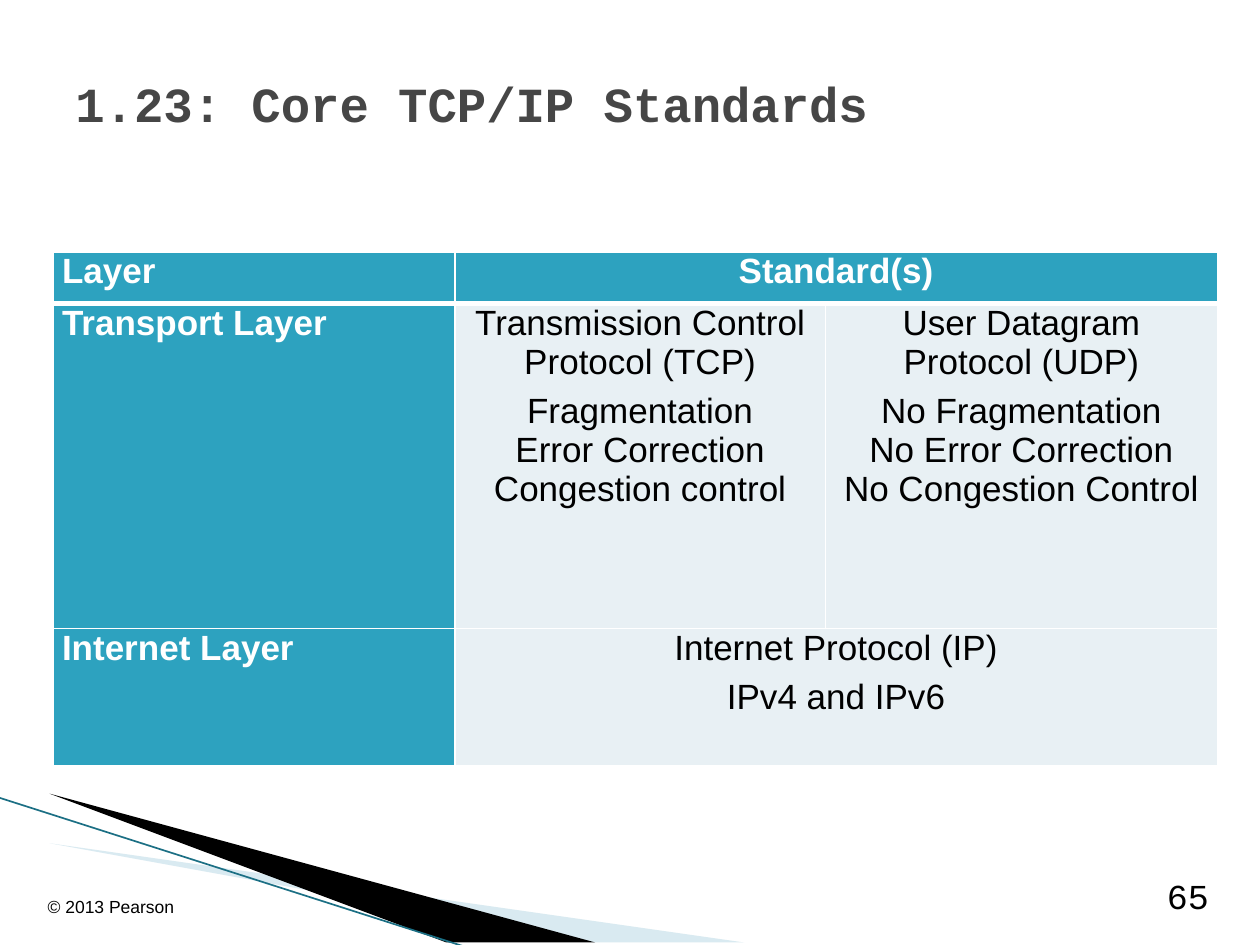
import pptx
import pptx.dml.color
import pptx.enum.dml
import pptx.enum.shapes
import pptx.enum.text
import pptx.oxml
import pptx.oxml.ns
import pptx.util
from pptx.util import Cm

RGBColor = pptx.dml.color.RGBColor
PP_ALIGN = pptx.enum.text.PP_ALIGN
MSO_ANCHOR = pptx.enum.text.MSO_ANCHOR
qn = pptx.oxml.ns.qn

WHITE = RGBColor(0xFF, 0xFF, 0xFF)
BLACK = RGBColor(0, 0, 0)
TITLE_GRAY = RGBColor(0x46, 0x46, 0x46)
TEAL = RGBColor(0x2D, 0xA2, 0xBF)
DARK_TEAL = RGBColor(0x1B, 0x6F, 0x84)
PALE_BLUE = RGBColor(0xA0, 0xCB, 0xDC)
CELL_TINT = RGBColor(0xE8, 0xF0, 0xF4)

prs = pptx.Presentation()
prs.slide_width = Cm(25.4)
prs.slide_height = Cm(19.05)
slide = prs.slides.add_slide(prs.slide_layouts[6])


def add_label(text, left, top, width, height, size, font, color, align, anchor, bold=False):
    label = slide.shapes.add_textbox(Cm(left), Cm(top), Cm(width), Cm(height))
    frame = label.text_frame
    frame.word_wrap = True
    frame.vertical_anchor = anchor
    frame.text = text
    paragraph = frame.paragraphs[0]
    paragraph.alignment = align
    run_font = paragraph.runs[0].font
    run_font.size = pptx.util.Pt(size)
    run_font.name = font
    run_font.bold = bold
    run_font.color.rgb = color


def add_borders(cell, widths):
    """Draw white borders; widths are points in the order left, right, top, bottom."""
    properties = cell._tc.get_or_add_tcPr()
    for index, (side, width) in enumerate(zip("LRTB", widths)):
        border = pptx.oxml.parse_xml(
            f'<a:ln{side} xmlns:a="http://schemas.openxmlformats.org/drawingml/2006/main"'
            f' w="{pptx.util.Pt(width)}"><a:solidFill><a:srgbClr val="{WHITE}"/>'
            f'</a:solidFill></a:ln{side}>')
        properties.insert(index, border)


# Corner decoration
wedges = [
    (PALE_BLUE, [(1.4, 16.52), (15.11, 19.07), (11.58, 19.07)]),
    (BLACK, [(1.35, 16.48), (11.61, 19.07), (9.45, 19.1)]),
]
for color, points in wedges:
    builder = slide.shapes.build_freeform(*points[0], scale=Cm(1))
    builder.add_line_segments(points[1:], close=True)
    wedge = builder.convert_to_shape()
    wedge.shadow.inherit = False
    wedge.fill.solid()
    wedge.fill.fore_color.rgb = color
    wedge.line.fill.background()
    if color == PALE_BLUE:
        tint = wedge.fill._xPr.find(qn("a:solidFill")).find(qn("a:srgbClr"))
        tint.append(tint.makeelement(qn("a:alpha"), {"val": "40000"}))

edge = slide.shapes.add_connector(
    pptx.enum.shapes.MSO_CONNECTOR.STRAIGHT, Cm(-0.02), Cm(16.08), Cm(9.42), Cm(19.1))
edge.line.color.rgb = DARK_TEAL
edge.line.width = pptx.util.Pt(0.95)
edge_properties = edge._element.spPr
edge_properties.append(edge_properties.makeelement(qn("a:effectLst"), {}))

# Standards table: \n starts a paragraph, \v breaks a line
column_widths = [8.1, 7.47, 7.9]
row_heights = [1.04, 6.55, 2.77]
standards_rows = [
    ["Layer", "Standard(s)", ""],
    ["Transport Layer",
     "Transmission Control Protocol (TCP)\n"
     "Fragmentation\vError Correction\vCongestion control",
     "User Datagram Protocol (UDP)\n"
     "No Fragmentation\vNo Error Correction\vNo Congestion Control"],
    ["Internet Layer", "Internet Protocol (IP)\nIPv4 and IPv6", ""],
]
standards = slide.shapes.add_table(
    3, 3, Cm(1.07), Cm(5.08), Cm(sum(column_widths)), Cm(sum(row_heights))).table
for column, width in zip(standards.columns, column_widths):
    column.width = Cm(width)
for row, height in zip(standards.rows, row_heights):
    row.height = Cm(height)
for r in (0, 2):
    standards.cell(r, 1).merge(standards.cell(r, 2))

for r, texts in enumerate(standards_rows):
    for c, text in enumerate(texts):
        cell = standards.cell(r, c)
        is_heading = r == 0 or c == 0
        add_borders(cell, (1, 1, 3 if r == 1 else 1, 3 if r == 0 else 1))
        cell.fill.solid()
        cell.fill.fore_color.rgb = TEAL if is_heading else CELL_TINT
        if cell.is_spanned:
            continue
        cell.margin_left = cell.margin_right = Cm(0.18)
        cell.margin_top = cell.margin_bottom = 0
        cell.text_frame.text = text
        for p, paragraph in enumerate(cell.text_frame.paragraphs):
            paragraph.alignment = PP_ALIGN.LEFT if c == 0 else PP_ALIGN.CENTER
            paragraph.space_before = pptx.util.Pt(3 if p else 0)
            paragraph.space_after = pptx.util.Pt(3)
            for run in paragraph.runs:
                run.font.size = pptx.util.Pt(20)
                run.font.name = "Arial"
                run.font.bold = is_heading
                run.font.color.rgb = WHITE if is_heading else BLACK

# Title, slide number and copyright line
add_label("1.23: Core TCP/IP Standards", 1.27, 0.76, 22.86, 2.62, 28, "Courier New",
          TITLE_GRAY, PP_ALIGN.LEFT, MSO_ANCHOR.MIDDLE, bold=True)
add_label("65", 22.23, 17.58, 2.39, 1.02, 20, "Courier New",
          BLACK, PP_ALIGN.RIGHT, MSO_ANCHOR.BOTTOM)
add_label("© 2013 Pearson", 0.43, 17.6, 3.61, 1.02, 10, "Arial",
          BLACK, PP_ALIGN.CENTER, MSO_ANCHOR.BOTTOM)

prs.save("out.pptx")
